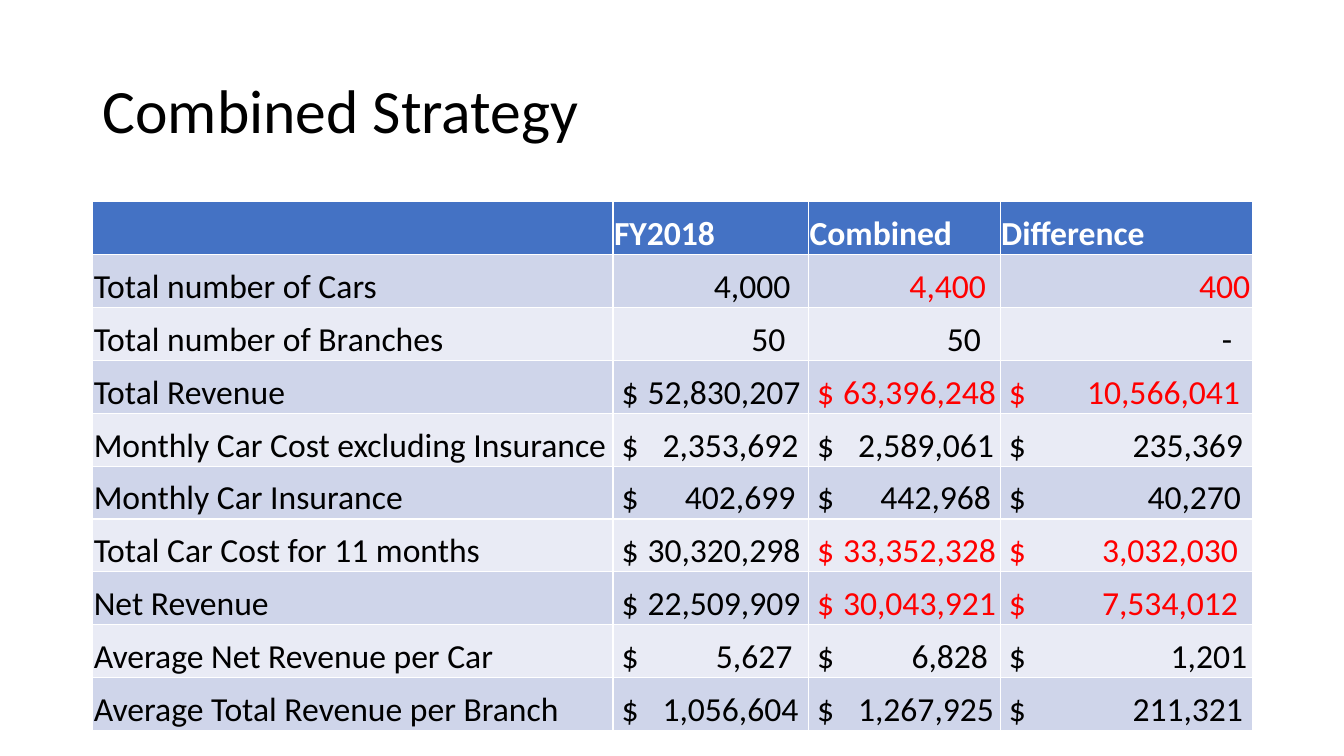
from dataclasses import dataclass

from lxml import etree
from pptx import Presentation
from pptx.dml.color import RGBColor
from pptx.enum.text import MSO_ANCHOR
from pptx.oxml.ns import qn
from pptx.util import Emu, Pt

MIDDLE, BOTTOM = MSO_ANCHOR.MIDDLE, MSO_ANCHOR.BOTTOM
EMU_PER_PX = 9144  # 100 px to the inch


@dataclass(frozen=True)
class Theme:
    font: str = "Calibri"
    title_size: int = 44
    table_size: int = 24
    text: str = "000000"
    highlight: str = "FF0000"
    header_text: str = "FFFFFF"
    header_fill: str = "4472C4"
    bands: tuple = ("CFD5EA", "E9EBF5")


THEME = Theme()

COL_WIDTHS = (516, 194, 190, 250)
HEADERS = ("", "FY2018", "Combined", "Difference")

# Label, currency sign, FY2018, combined, difference, highlighted,
# right edge of the figures in the year columns and in the difference column
ROWS = (
    ("Total number of Cars", "", "4,000", "4,400", "400", True, 175, 247),
    ("Total number of Branches", "", "50", "50", "-", False, 170, 229),
    ("Total Revenue", " $", "52,830,207", "63,396,248", "10,566,041", True, 185, 237),
    ("Monthly Car Cost excluding Insurance", " $", "2,353,692", "2,589,061", "235,369",
     False, 183, 240),
    ("Monthly Car Insurance", " $", "402,699", "442,968", "40,270", False, 180, 238),
    ("Total Car Cost for 11 months", " $", "30,320,298", "33,352,328", "3,032,030",
     True, 185, 235),
    ("Net Revenue", " $", "22,509,909", "30,043,921", "7,534,012", True, 185, 235),
    ("Average Net Revenue per Car", " $", "5,627", "6,828", "1,201", False, 177, 244),
    ("Average Total Revenue per Branch", " $", "1,056,604", "1,267,925", "211,321",
     False, 183, 240),
)


def px(n):
    return Emu(n * EMU_PER_PX)


def write(tf, text, size=THEME.table_size, color=THEME.text, bold=False,
          spacing=None, right_tab=None):
    p = tf.paragraphs[0]
    if spacing:
        p.line_spacing = spacing
    if right_tab:
        tabs = etree.SubElement(p._p.get_or_add_pPr(), qn("a:tabLst"))
        etree.SubElement(tabs, qn("a:tab"), pos=str(px(right_tab)), algn="r")
    r = p.add_run()
    r.text = text
    r.font.name = THEME.font
    r.font.size = Pt(size)
    r.font.bold = bold
    r.font.color.rgb = RGBColor.from_string(color)


def add_title(s, text):
    sp = s.shapes.add_textbox(px(92), px(40), px(1150), px(145))
    tf = sp.text_frame
    tf.word_wrap = True
    tf.vertical_anchor = MIDDLE
    write(tf, text, size=THEME.title_size, spacing=0.9)


def fill_cell(cell, text, fill, **fmt):
    cell.fill.solid()
    cell.fill.fore_color.rgb = RGBColor.from_string(fill)
    cell.vertical_anchor = BOTTOM
    cell.margin_left = cell.margin_right = cell.margin_top = px(1)
    cell.margin_bottom = 0
    if text:
        write(cell.text_frame, text, **fmt)


def add_strategy_table(s):
    height = px(525)
    frame = s.shapes.add_table(len(ROWS) + 1, len(COL_WIDTHS),
                               px(92), px(200), px(sum(COL_WIDTHS)), height)
    table = frame.table
    for column, width in zip(table.columns, COL_WIDTHS):
        column.width = px(width)
    for row in table.rows:
        row.height = height // len(table.rows)

    # Header
    for i, header in enumerate(HEADERS):
        fill_cell(table.cell(0, i), header, THEME.header_fill,
                  color=THEME.header_text, bold=True)

    # Body: figures line up on a right tab stop
    for n, (label, sign, *figures, marked, year_edge, diff_edge) in enumerate(ROWS):
        fill = THEME.bands[n % 2]
        fill_cell(table.cell(n + 1, 0), label, fill)
        edges = (year_edge, year_edge, diff_edge)
        for i, (figure, edge) in enumerate(zip(figures, edges), start=1):
            color = THEME.highlight if marked and i > 1 else THEME.text
            fill_cell(table.cell(n + 1, i), f"{sign}\t{figure}", fill,
                      color=color, right_tab=edge)


def main():
    prs = Presentation()
    prs.slide_width, prs.slide_height = px(1333), px(750)
    s = prs.slides.add_slide(prs.slide_layouts[6])
    add_title(s, "Combined Strategy")
    add_strategy_table(s)
    prs.save("out.pptx")


if __name__ == "__main__":
    main()
